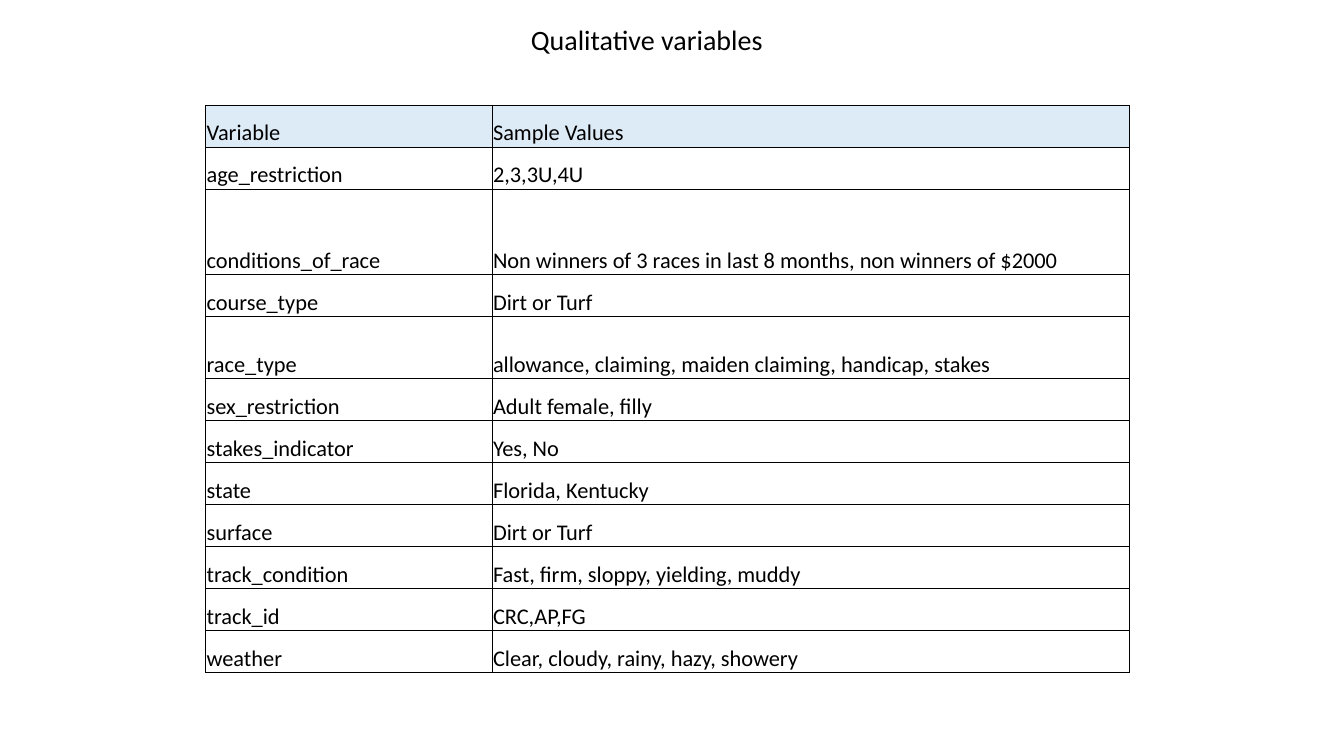
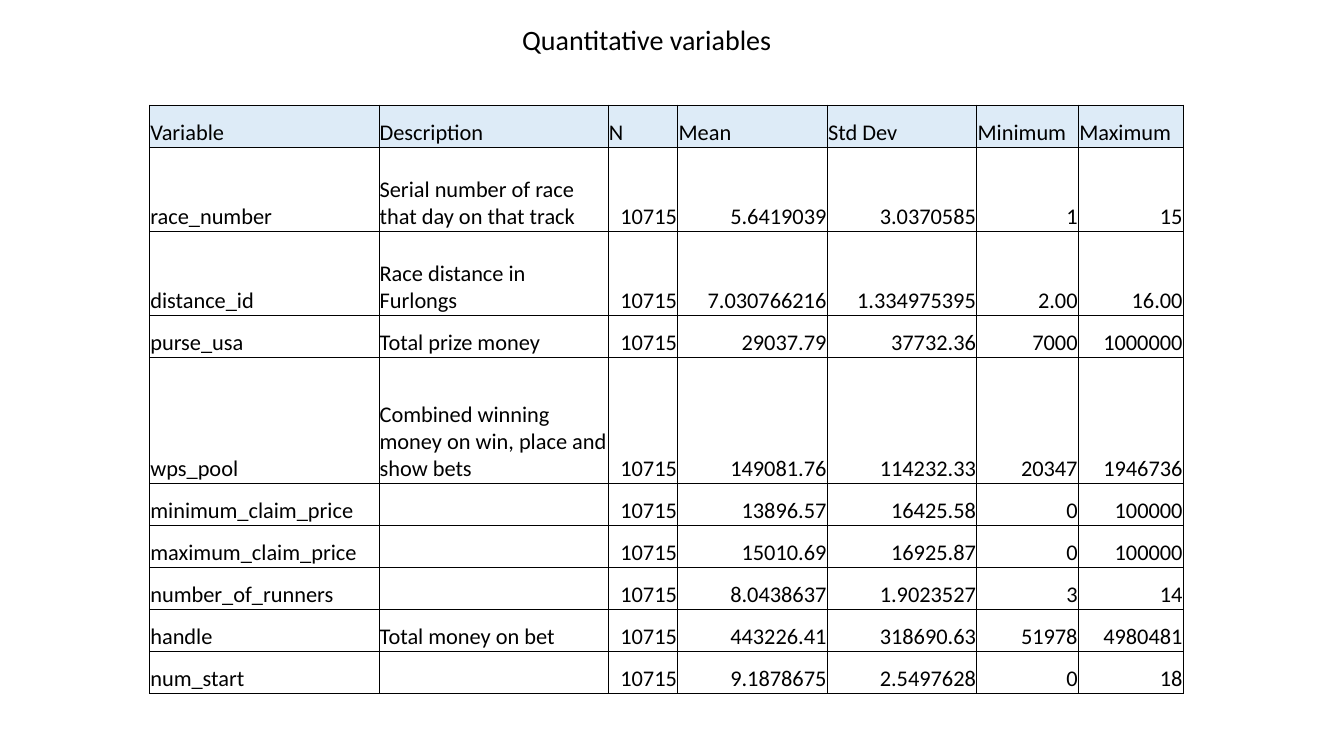
from dataclasses import dataclass

from pptx import Presentation
from pptx.dml.color import RGBColor
from pptx.enum.text import MSO_ANCHOR, MSO_AUTO_SIZE, PP_ALIGN
from pptx.oxml.ns import qn
from pptx.util import Emu, Pt
from lxml.etree import SubElement

EMU_PER_PX = 7620


@dataclass(frozen=True)
class Theme:
    font: str = "Calibri"
    ink: str = "000000"
    header_fill: str = "DDEBF7"
    title_size: float = 20
    cell_size: float = 16
    border_width: float = 0.5


THEME = Theme()
TABLE_TOP = 125
ROW = 50

QUALITATIVE = [
    ("Variable", "Sample Values"),
    ("age_restriction", "2,3,3U,4U"),
    ("conditions_of_race", "Non winners of 3 races in last 8 months, non winners of $2000"),
    ("course_type", "Dirt or Turf"),
    ("race_type", "allowance, claiming, maiden claiming, handicap, stakes"),
    ("sex_restriction", "Adult female, filly"),
    ("stakes_indicator", "Yes, No"),
    ("state", "Florida, Kentucky"),
    ("surface", "Dirt or Turf"),
    ("track_condition", "Fast, firm, sloppy, yielding, muddy"),
    ("track_id", "CRC,AP,FG"),
    ("weather", "Clear, cloudy, rainy, hazy, showery"),
]

QUANTITATIVE = [
    ("Variable", "Description", "N", "Mean", "Std Dev", "Minimum", "Maximum"),
    ("race_number", "Serial number of race that day on that track",
     "10715", "5.6419039", "3.0370585", "1", "15"),
    ("distance_id", "Race distance in Furlongs",
     "10715", "7.030766216", "1.334975395", "2.00", "16.00"),
    ("purse_usa", "Total prize money", "10715", "29037.79", "37732.36", "7000", "1000000"),
    ("wps_pool", "Combined winning money on win, place and show bets",
     "10715", "149081.76", "114232.33", "20347", "1946736"),
    ("minimum_claim_price", "", "10715", "13896.57", "16425.58", "0", "100000"),
    ("maximum_claim_price", "", "10715", "15010.69", "16925.87", "0", "100000"),
    ("number_of_runners", "", "10715", "8.0438637", "1.9023527", "3", "14"),
    ("handle", "Total money on bet", "10715", "443226.41", "318690.63", "51978", "4980481"),
    ("num_start", "", "10715", "9.1878675", "2.5497628", "0", "18"),
]


def px(length):
    return Emu(length * EMU_PER_PX)


def add_run(paragraph, text, size):
    run = paragraph.add_run()
    run.text = text
    run.font.name = THEME.font
    run.font.size = Pt(size)
    run.font.color.rgb = RGBColor.from_string(THEME.ink)


def add_titled_slide(deck, heading):
    slide = deck.slides.add_slide(deck.slide_layouts[5])
    title = slide.shapes.title
    title.left, title.top, title.width, title.height = map(px, (80, 25, 1380, 100))
    frame = title.text_frame
    frame.auto_size = MSO_AUTO_SIZE.NONE
    frame.vertical_anchor = MSO_ANCHOR.TOP
    paragraph = frame.paragraphs[0]
    paragraph.alignment = PP_ALIGN.CENTER
    paragraph.line_spacing = 0.9
    paragraph.space_before = Pt(10)
    add_run(paragraph, heading, THEME.title_size)
    return slide


def add_borders(cell):
    properties = cell._tc.get_or_add_tcPr()
    for side in ("a:lnL", "a:lnR", "a:lnT", "a:lnB"):
        line = SubElement(properties, qn(side), w=str(Pt(THEME.border_width)))
        fill = SubElement(line, qn("a:solidFill"))
        SubElement(fill, qn("a:srgbClr"), val=THEME.ink)


def fill_cell(cell, text, is_header, is_number):
    cell.margin_left = cell.margin_right = cell.margin_top = px(1)
    cell.margin_bottom = 0
    cell.vertical_anchor = MSO_ANCHOR.BOTTOM
    add_borders(cell)
    if is_header:
        cell.fill.solid()
        cell.fill.fore_color.rgb = RGBColor.from_string(THEME.header_fill)
    else:
        cell.fill.background()
    if text:
        paragraph = cell.text_frame.paragraphs[0]
        paragraph.alignment = PP_ALIGN.RIGHT if is_number else PP_ALIGN.LEFT
        add_run(paragraph, text, THEME.cell_size)


def add_variable_table(slide, records, left, widths, tall_rows, first_number_column):
    heights = [tall_rows.get(index, ROW) for index in range(len(records))]
    table = slide.shapes.add_table(
        len(records), len(widths),
        px(left), px(TABLE_TOP), px(sum(widths)), px(sum(heights)),
    ).table
    table.first_row = True
    table.horz_banding = False
    for column, width in zip(table.columns, widths):
        column.width = px(width)
    for row, height in zip(table.rows, heights):
        row.height = px(height)
    for r, record in enumerate(records):
        for c, text in enumerate(record):
            is_header = r == 0
            is_number = not is_header and c >= first_number_column
            fill_cell(table.cell(r, c), text, is_header, is_number)


def main():
    deck = Presentation()
    deck.slide_width, deck.slide_height = px(1600), px(900)

    qualitative = add_titled_slide(deck, "Qualitative variables")
    add_variable_table(qualitative, QUALITATIVE, 245, (341, 758), {2: 102, 4: 74}, 2)

    quantitative = add_titled_slide(deck, "Quantitative variables")
    add_variable_table(
        quantitative, QUANTITATIVE, 178, (273, 273, 83, 178, 178, 121, 125),
        {1: 100, 2: 100, 4: 150}, 2,
    )

    deck.save("out.pptx")


if __name__ == "__main__":
    main()
